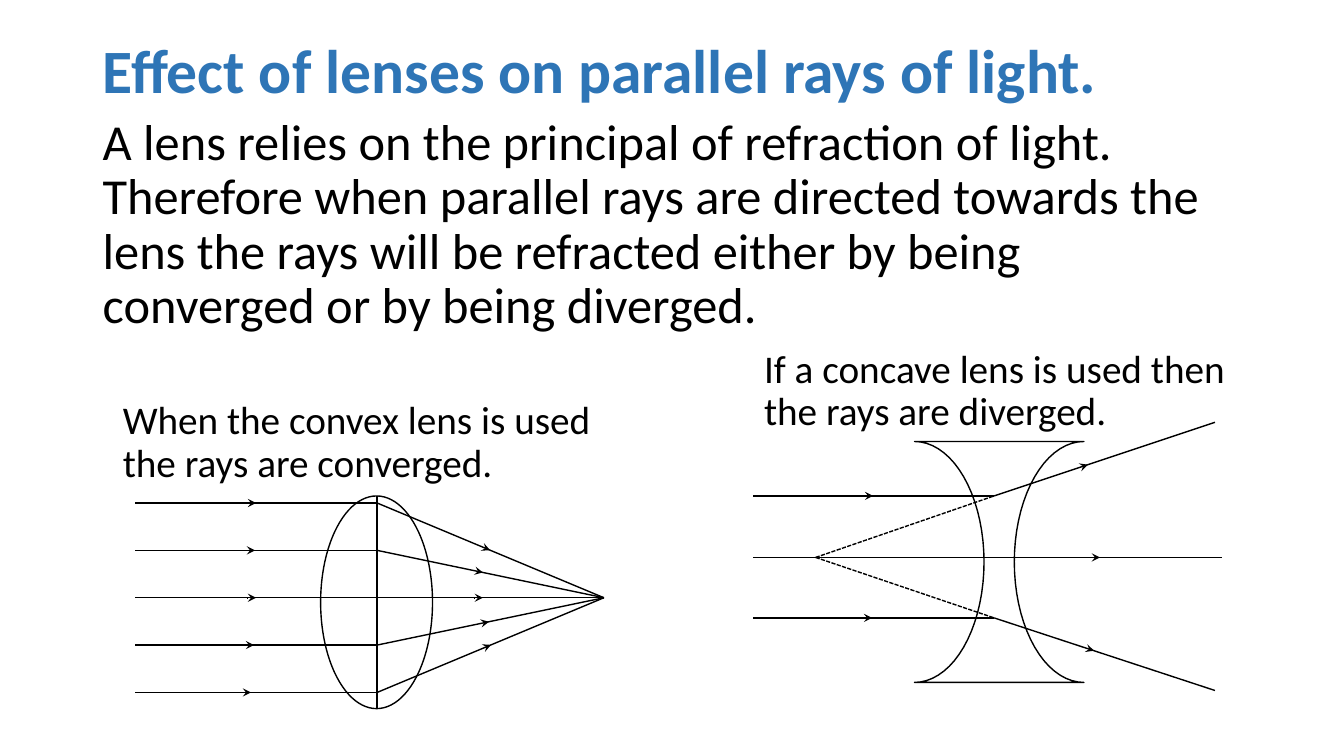
import math

import pptx
import pptx.dml.color
import pptx.enum.dml
import pptx.enum.shapes
import pptx.enum.text
import pptx.oxml
import pptx.oxml.ns
import pptx.util

Inches = pptx.util.Inches
RGBColor = pptx.dml.color.RGBColor
BLUE = RGBColor(0x2E, 0x75, 0xB6)
BLACK = RGBColor(0, 0, 0)

prs = pptx.Presentation()
prs.slide_width, prs.slide_height = Inches(13.33), Inches(7.5)
s = prs.slides.add_slide(prs.slide_layouts[6])


def add_line(group, start, end, width=1, dashed=False, arrow=False):
    c = group.shapes.add_connector(
        pptx.enum.shapes.MSO_CONNECTOR.STRAIGHT,
        *[Inches(v) for v in (*start, *end)])
    c.line.color.rgb = BLACK
    c.line.width = pptx.util.Pt(width)
    if dashed:
        c.line.dash_style = pptx.enum.dml.MSO_LINE.SQUARE_DOT
    ns = pptx.oxml.ns.nsdecls("a")
    if arrow:
        c.line._get_or_add_ln().append(
            pptx.oxml.parse_xml(f'<a:tailEnd {ns} type="stealth"/>'))
    c._element.spPr.append(pptx.oxml.parse_xml(f"<a:effectLst {ns}/>"))


def add_ray(group, start, end, *tips):
    """Draw a ray with an arrowhead at each of the given x positions."""
    add_line(group, start, end)
    slope = (end[1] - start[1]) / (end[0] - start[0])
    for x in tips:
        y = start[1] + slope * (x - start[0])
        add_line(group, (x - 0.09, y - 0.09 * slope), (x, y), 0.25, arrow=True)


# Title, explanation and captions
middle = pptx.enum.text.MSO_ANCHOR.MIDDLE
top = pptx.enum.text.MSO_ANCHOR.TOP
texts = [
    (0.92, 0.34, 11.5, 0.77, 44, True, BLUE, middle,
     "Effect of lenses on parallel rays of light."),
    (0.92, 1.11, 11.5, 2.08, 36, False, BLACK, top,
     "A lens relies on the principal of refraction of light. Therefore when "
     "parallel rays are directed towards the lens the rays will be refracted "
     "either by being converged or by being diverged."),
    (1.12, 3.93, 5.24, 1.2, 28, False, BLACK, top,
     "When the convex lens is used the rays are converged."),
    (7.48, 3.42, 5.24, 1.2, 28, False, BLACK, top,
     "If a concave lens is used then the rays are diverged."),
]
for x, y, w, h, size, bold, color, anchor, text in texts:
    tf = s.shapes.add_textbox(Inches(x), Inches(y), Inches(w), Inches(h)).text_frame
    tf.word_wrap = True
    tf.vertical_anchor = anchor
    p = tf.paragraphs[0]
    p.line_spacing = 0.9
    r = p.add_run()
    r.text = text
    r.font.name = "Calibri"
    r.font.size = pptx.util.Pt(size)
    r.font.bold = bold
    r.font.color.rgb = color

# Convex lens with its axis
convex = s.shapes.add_group_shape()
sp = convex.shapes.add_shape(pptx.enum.shapes.MSO_SHAPE.OVAL, Inches(3.18),
                             Inches(4.92), Inches(1.11), Inches(2.11))
sp.shadow.inherit = False
sp.fill.background()
sp.line.color.rgb = BLACK
sp.line.width = pptx.util.Pt(1)
add_line(convex, (3.74, 4.92), (3.74, 7.03))

# Rays that meet at the focus
focus = (5.99, 5.93)
arrow_tips = [(2.54, 4.86), (2.53, 4.79), (2.54, 4.79), (2.52, 4.85), (2.49, 4.87)]
for i, (tip_in, tip_out) in enumerate(arrow_tips):
    y = focus[1] + (i - 2) * 0.47
    if y == focus[1]:
        add_ray(convex, (1.34, y), focus, tip_in, tip_out)
    else:
        add_ray(convex, (1.34, y), (3.74, y), tip_in)
        add_ray(convex, (3.74, y), focus, tip_out)

# Concave lens: two half ellipses joined by straight edges
concave = s.shapes.add_group_shape()
left, right, center_y, rx, ry = 9.07, 10.75, 5.575, 0.69, 1.195
angles = [math.radians(a) for a in range(-90, 91, 5)]
outline = [(left + rx * math.cos(a), center_y + ry * math.sin(a)) for a in angles]
outline += [(right - rx * math.cos(a), center_y - ry * math.sin(a)) for a in angles]
points = [(Inches(x), Inches(y)) for x, y in outline]
fb = concave.shapes.build_freeform(*points[0])
fb.add_line_segments(points[1:], close=True)
sp = fb.convert_to_shape()
sp.shadow.inherit = False
sp.fill.background()
sp.line.color.rgb = BLACK
sp.line.width = pptx.util.Pt(1)

# Rays that spread out, traced back to the virtual focus
virtual_focus = (8.09, 5.53)
add_ray(concave, (7.47, 5.53), (12.12, 5.53), 10.91)
for y, end_y, tip_in, tip_out in [(4.92, 4.19, 8.66, 10.79),
                                  (6.13, 6.85, 8.65, 10.85)]:
    bend = (9.86, y)
    add_ray(concave, (7.47, y), bend, tip_in)
    add_ray(concave, bend, (12.05, end_y), tip_out)
    add_line(concave, virtual_focus, bend, dashed=True)

prs.save("out.pptx")
